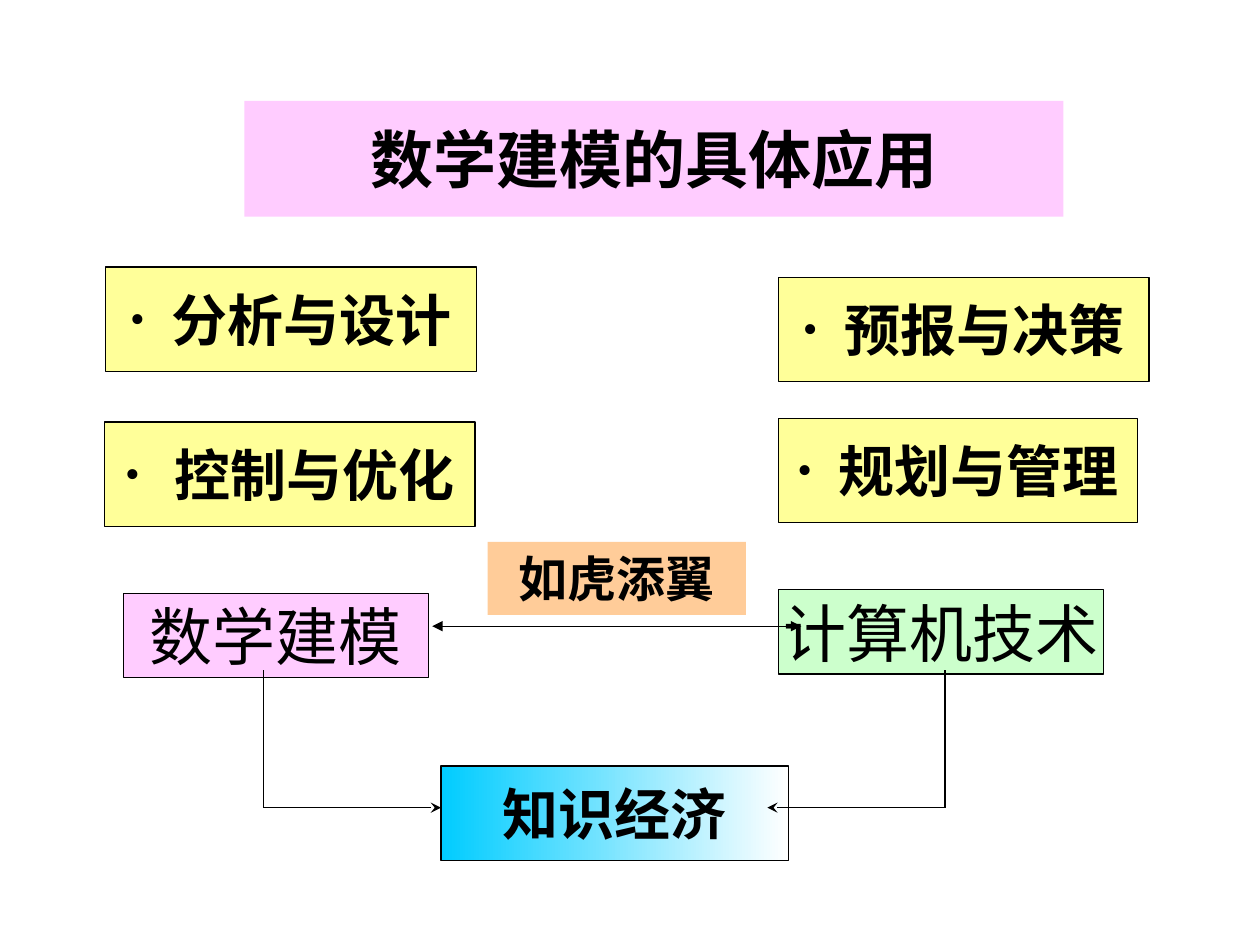
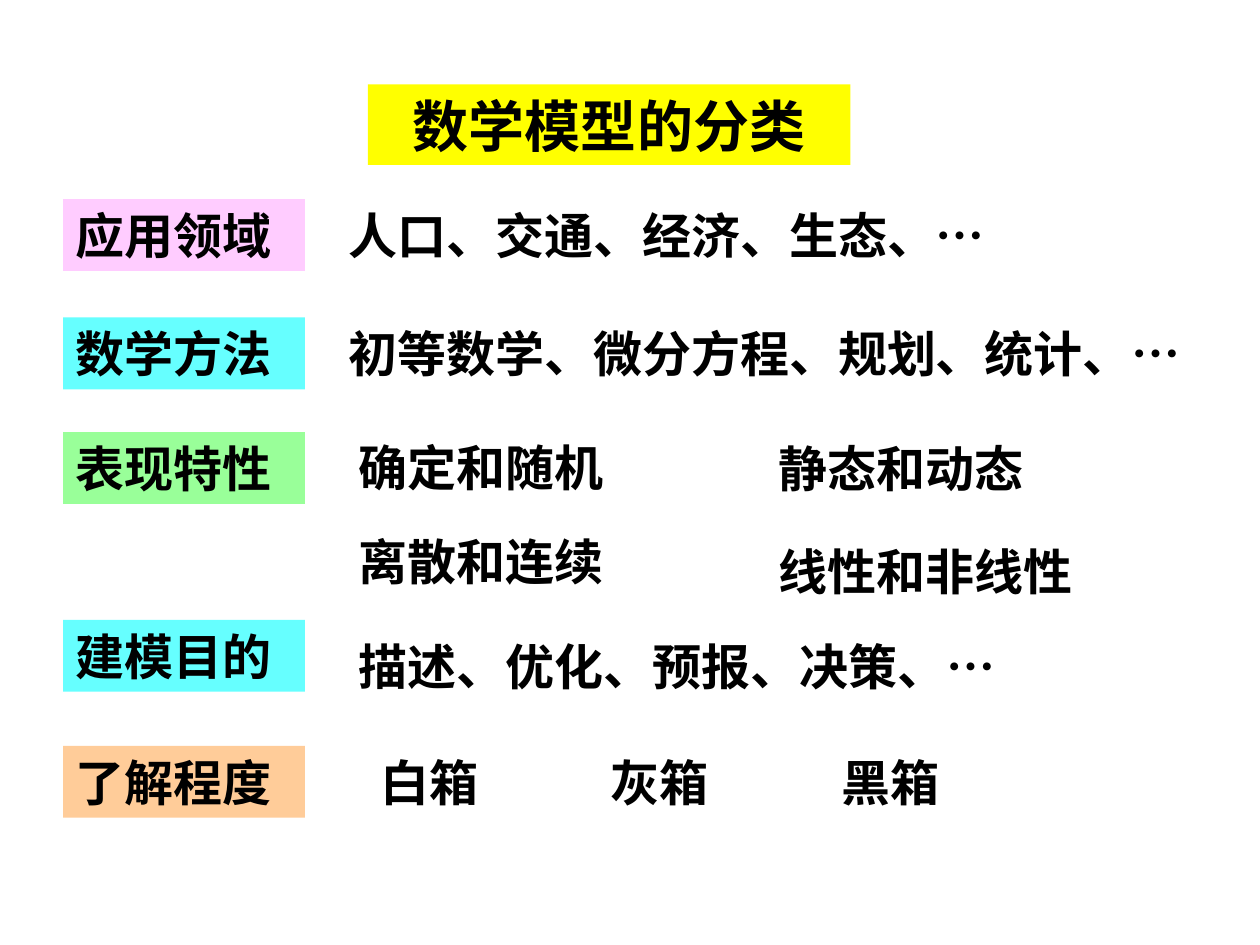
from pptx import Presentation
from pptx.dml.color import RGBColor
from pptx.enum.shapes import MSO_CONNECTOR, MSO_SHAPE
from pptx.enum.text import MSO_ANCHOR, PP_ALIGN
from pptx.oxml.ns import qn
from pptx.util import Inches, Pt
from lxml.etree import SubElement

COLORS = {
    "ink": "000000",
    "white": "FFFFFF",
    "pink": "FFCCFF",
    "cream": "FFFF99",
    "yellow": "FFFF00",
    "mint": "CCFFCC",
    "green": "99FF99",
    "cyan": "66FFFF",
    "sky": "00CCFF",
    "peach": "FFCC99",
}
LATIN_FONT = "Times New Roman"
CJK_FONT = "Noto Sans CJK SC"
LINE_WIDTH = Pt(0.75)


def rgb(name):
    return RGBColor.from_string(COLORS[name])


class Deck:
    """Holds the shared style and the slide being built."""

    def __init__(self):
        self.prs = Presentation()
        self.prs.slide_width = Inches(10)
        self.prs.slide_height = Inches(7.5)
        self.slide = None

    def new_slide(self):
        self.slide = self.prs.slides.add_slide(self.prs.slide_layouts[6])
        fill = self.slide.background.fill
        fill.solid()
        fill.fore_color.rgb = rgb("white")

    def add_text(self, shape, text, size, bold, align, font=LATIN_FONT,
                 wrap=True):
        frame = shape.text_frame
        frame.word_wrap = wrap
        frame.vertical_anchor = MSO_ANCHOR.MIDDLE
        paragraph = frame.paragraphs[0]
        paragraph.alignment = align
        run = paragraph.add_run()
        run.text = text
        run.font.size = Pt(size)
        run.font.bold = bold
        run.font.name = font
        run.font.color.rgb = rgb("ink")
        props = run._r.get_or_add_rPr()
        props.set("lang", "zh-CN")
        SubElement(props, qn("a:ea")).set("typeface", CJK_FONT)
        return paragraph

    def box(self, at, text, fill, size, bold=True, outline=False,
            align=PP_ALIGN.CENTER, font=LATIN_FONT, gap=None):
        """A filled rectangle; gap is the bullet indent, if it has a bullet."""
        shape = self.slide.shapes.add_shape(
            MSO_SHAPE.RECTANGLE, *(Inches(v) for v in at))
        shape.shadow.inherit = False
        if isinstance(fill, tuple):
            shape.fill.gradient()
            shape.fill.gradient_angle = 0
            for stop, color in zip(shape.fill.gradient_stops, fill):
                stop.color.rgb = rgb(color)
        else:
            shape.fill.solid()
            shape.fill.fore_color.rgb = rgb(fill)
        if outline:
            shape.line.color.rgb = rgb("ink")
            shape.line.width = LINE_WIDTH
        else:
            shape.line.fill.background()
        paragraph = self.add_text(shape, text, size, bold, align, font,
                                  wrap=gap is not None)
        if gap is not None:
            self.bullet(paragraph, gap)

    def bullet(self, paragraph, gap):
        props = paragraph._p.get_or_add_pPr()
        props.set("marL", str(Inches(gap)))
        props.set("indent", str(-Inches(gap)))
        color = SubElement(props, qn("a:buClr"))
        SubElement(color, qn("a:srgbClr")).set("val", COLORS["ink"])
        SubElement(props, qn("a:buSzPct")).set("val", "75000")
        SubElement(props, qn("a:buFont")).set("typeface", LATIN_FONT)
        SubElement(props, qn("a:buChar")).set("char", "•")

    def label(self, at, text, size=28):
        shape = self.slide.shapes.add_textbox(*(Inches(v) for v in at))
        self.add_text(shape, text, size, True, PP_ALIGN.LEFT)

    def line(self, start, end, head=None, tail=None):
        link = self.slide.shapes.add_connector(
            MSO_CONNECTOR.STRAIGHT, *(Inches(v) for v in start + end))
        link.line.color.rgb = rgb("ink")
        link.line.width = LINE_WIDTH
        props = link._element.spPr
        for tag, kind in (("a:headEnd", head), ("a:tailEnd", tail)):
            if kind:
                SubElement(props.find(qn("a:ln")), qn(tag)).set("type", kind)
        SubElement(props, qn("a:effectLst"))


def build_applications(deck):
    deck.new_slide()
    deck.box((1.94, 0.8, 6.5, 0.92), "数学建模的具体应用", "pink", 36,
             font=CJK_FONT)

    # Four fields of application
    for left, top, width, field, gap in (
        (0.84, 2.12, 2.94, "分析与设计", 0.33),
        (6.18, 2.2, 2.94, "预报与决策", 0.33),
        (0.83, 3.35, 2.94, "控制与优化", 0.39),
        (6.18, 3.32, 2.85, "规划与管理", 0.33),
    ):
        deck.box((left, top, width, 0.83), field, "cream", 32,
                 outline=True, gap=gap)

    # Modelling and computing lead to the knowledge economy
    deck.box((0.98, 4.71, 2.42, 0.67), "数学建模", "pink", 36,
             bold=False, outline=True)
    deck.box((6.18, 4.68, 2.58, 0.67), "计算机技术", "mint", 36,
             bold=False, outline=True)
    deck.box((3.5, 6.08, 2.76, 0.75), "知识经济", ("sky", "white"), 32,
             outline=True)
    for source_x, economy_x in ((2.09, 3.5), (7.5, 6.09)):
        deck.line((source_x, 5.32), (source_x, 6.41))
        deck.line((source_x, 6.41), (economy_x, 6.41), tail="stealth")

    # Mutual support
    deck.line((3.43, 4.97), (6.36, 4.97), head="triangle", tail="triangle")
    deck.box((3.87, 4.3, 2.05, 0.58), "如虎添翼", "peach", 28)


def build_classification(deck):
    deck.new_slide()
    deck.box((2.92, 0.67, 3.83, 0.64), "数学模型的分类", "yellow", 32)

    # Criteria down the left side
    row_height = 0.57
    for top, criterion, color in (
        (1.58, "应用领域", "pink"),
        (2.52, "数学方法", "cyan"),
        (3.43, "表现特性", "green"),
        (4.92, "建模目的", "cyan"),
        (5.92, "了解程度", "peach"),
    ):
        deck.box((0.5, top, 1.92, row_height), criterion, color, 28,
                 align=PP_ALIGN.LEFT)

    # Model types beside each criterion
    for left, top, width, types in (
        (2.67, 1.58, 5.58, "人口、交通、经济、生态、…"),
        (2.67, 2.52, 6.92, "初等数学、微分方程、规划、统计、…"),
        (2.75, 3.42, 2.17, "确定和随机"),
        (6.08, 3.43, 2.17, "静态和动态"),
        (2.75, 4.17, 2.17, "离散和连续"),
        (6.08, 4.25, 2.67, "线性和非线性"),
        (2.75, 5, 6.75, "描述、优化、预报、决策、…"),
    ):
        deck.label((left, top, width, row_height), types)

    # Degrees of understanding, evenly spaced
    for i, degree in enumerate(("白箱", "灰箱", "黑箱")):
        deck.label((2.92 + 1.83 * i, 5.92, 1.08, row_height), degree)


def main():
    deck = Deck()
    build_applications(deck)
    build_classification(deck)
    deck.prs.save("out.pptx")


if __name__ == "__main__":
    main()
